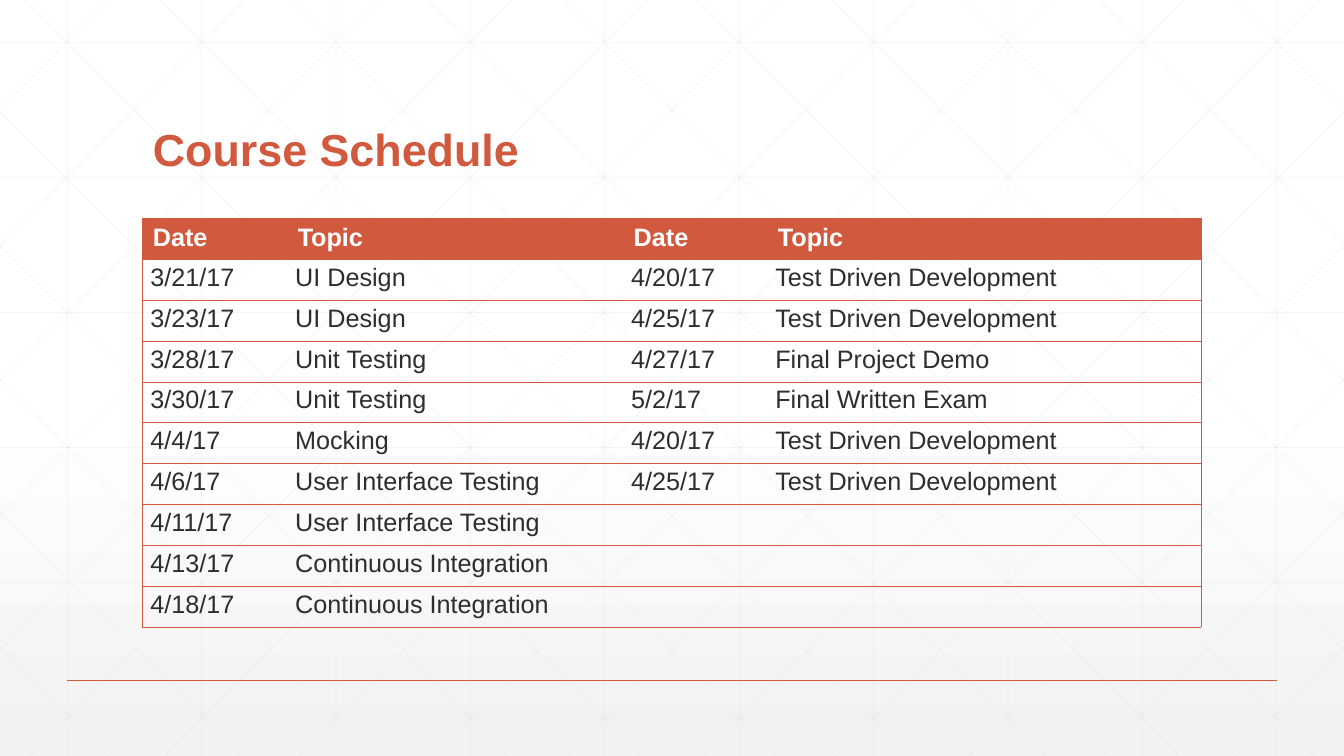
from pptx import Presentation
from pptx.dml.color import RGBColor
from pptx.enum.shapes import MSO_CONNECTOR as Connector
from pptx.enum.text import MSO_ANCHOR as Anchor, MSO_AUTO_SIZE as AutoSize, PP_ALIGN as Align
from pptx.oxml.ns import qn
from pptx.util import Pt
from lxml.etree import SubElement

WIDTH, HEIGHT = 960, 540
NO_TABLE_STYLE = "{2D5ABB26-0587-4C30-8999-92F81FD0307C}"

HEADINGS = ("Date", "Topic", "Date", "Topic")
SESSIONS = [
    ("3/21/17", "UI Design", "4/20/17", "Test Driven Development"),
    ("3/23/17", "UI Design", "4/25/17", "Test Driven Development"),
    ("3/28/17", "Unit Testing", "4/27/17", "Final Project Demo"),
    ("3/30/17", "Unit Testing", "5/2/17", "Final Written Exam"),
    ("4/4/17", "Mocking", "4/20/17", "Test Driven Development"),
    ("4/6/17", "User Interface Testing", "4/25/17", "Test Driven Development"),
    ("4/11/17", "User Interface Testing", "", ""),
    ("4/13/17", "Continuous Integration", "", ""),
    ("4/18/17", "Continuous Integration", "", ""),
]


def rgb(value):
    return RGBColor.from_string(value)


def write(frame, text, font, size, color, bold=False, spacing=1.0):
    paragraph = frame.paragraphs[0]
    paragraph.alignment = Align.LEFT
    paragraph.line_spacing = spacing
    paragraph.font.size = Pt(size)
    if text:
        run = paragraph.add_run()
        run.text = text
        run.font.name = font
        run.font.size = Pt(size)
        run.font.bold = bold
        run.font.color.rgb = rgb(color)


class ScheduleSlide:
    font, accent, ink, white = "Arial", "D15A3E", "2D2E2D", "FFFFFF"
    grid_color, shade = "D9D9D9", "F2F2F2"

    def __init__(self, presentation):
        self.slide = presentation.slides.add_slide(presentation.slide_layouts[5])

    def background(self):
        fill = self.slide.background.fill
        fill.gradient()
        fill.gradient_angle = 270
        for stop, position, color in zip(fill.gradient_stops, (0.53, 1), (self.white, self.shade)):
            stop.position = position
            stop.color.rgb = rgb(color)

    def line(self, x1, y1, x2, y2, color, width, opacity=100):
        connector = self.slide.shapes.add_connector(
            Connector.STRAIGHT, Pt(x1), Pt(y1), Pt(x2), Pt(y2))
        connector.line.width = Pt(width)
        connector.line.color.rgb = rgb(color)
        properties = connector.element.spPr
        if opacity < 100:
            solid = properties.find(".//" + qn("a:srgbClr"))
            SubElement(solid, qn("a:alpha"), val=str(opacity * 1000))
        SubElement(properties, qn("a:effectLst"))

    def grid_line(self, x1, y1, x2, y2):
        self.line(x1, y1, x2, y2, self.grid_color, 0.5, 25)

    def mirrored_line(self, x1, y1, x2, y2):
        """Draw a diagonal and its reflection about the slide's vertical axis."""
        self.grid_line(x1, y1, x2, y2)
        self.grid_line(WIDTH - x1, y1, WIDTH - x2, y2)

    def grid(self):
        for column in range(10):
            x = 48 + 96 * column
            self.grid_line(x, 0, x, HEIGHT)
        for row in range(6):
            y = 30.2 + 96.5 * row
            self.grid_line(0, y, WIDTH, y)
        slope = HEIGHT / 536.8
        for step in range(10):
            top = 18 + 96 * step
            end = min(top + 536.8, WIDTH)
            self.mirrored_line(top, 0, end, (end - top) * slope)
        for step in range(5):
            self.mirrored_line(0, 80 + 95.4 * step, 458.6 - 95.2 * step, HEIGHT)

    def title(self, text, left, top, width, height):
        title = self.slide.shapes.title
        title.left, title.top, title.width, title.height = map(Pt, (left, top, width, height))
        frame = title.text_frame
        frame.word_wrap = True
        frame.auto_size = AutoSize.NONE
        frame.vertical_anchor = Anchor.BOTTOM
        write(frame, text, self.font, 32, self.accent, bold=True, spacing=0.9)
        title.element.getparent().append(title.element)

    def border(self, cell, sides):
        properties = cell._tc.get_or_add_tcPr()
        for side in sides:
            line = SubElement(properties, qn("a:ln" + side), w=str(Pt(0.5)))
            solid = SubElement(line, qn("a:solidFill"))
            SubElement(solid, qn("a:srgbClr"), val=self.accent)

    def table(self, rows, left, top, widths, row_height):
        frame = self.slide.shapes.add_table(
            len(rows), len(widths), Pt(left), Pt(top), Pt(sum(widths)), Pt(row_height * len(rows)))
        frame.element.find(".//" + qn("a:tableStyleId")).text = NO_TABLE_STYLE
        table = frame.table
        table.horz_banding = False
        for column, width in zip(table.columns, widths):
            column.width = Pt(width)
        for row, texts in zip(table.rows, rows):
            row.height = Pt(row_height)
            for index, (cell, text) in enumerate(zip(row.cells, texts)):
                left_side = "L" if index == 0 else ""
                right_side = "R" if index == len(widths) - 1 else ""
                self.border(cell, left_side + right_side + "TB")
                if texts is rows[0]:
                    cell.fill.solid()
                    cell.fill.fore_color.rgb = rgb(self.accent)
                    write(cell.text_frame, text, self.font, 18, self.white, bold=True)
                else:
                    cell.fill.background()
                    cell.margin_left = cell.margin_right = Pt(5.4)
                    cell.margin_top = cell.margin_bottom = Pt(0)
                    write(cell.text_frame, text, self.font, 18, self.ink, spacing=1.15)


def main():
    presentation = Presentation()
    presentation.slide_width, presentation.slide_height = Pt(WIDTH), Pt(HEIGHT)
    schedule = ScheduleSlide(presentation)
    schedule.background()
    schedule.grid()
    schedule.line(48, 486, 912, 486, schedule.accent, 1)
    schedule.title("Course Schedule", 102, 39.6, 756, 90)
    schedule.table([HEADINGS, *SESSIONS], 102, 156, (103.5, 240, 103, 309.5), 29.2)
    presentation.save("out.pptx")


if __name__ == "__main__":
    main()
